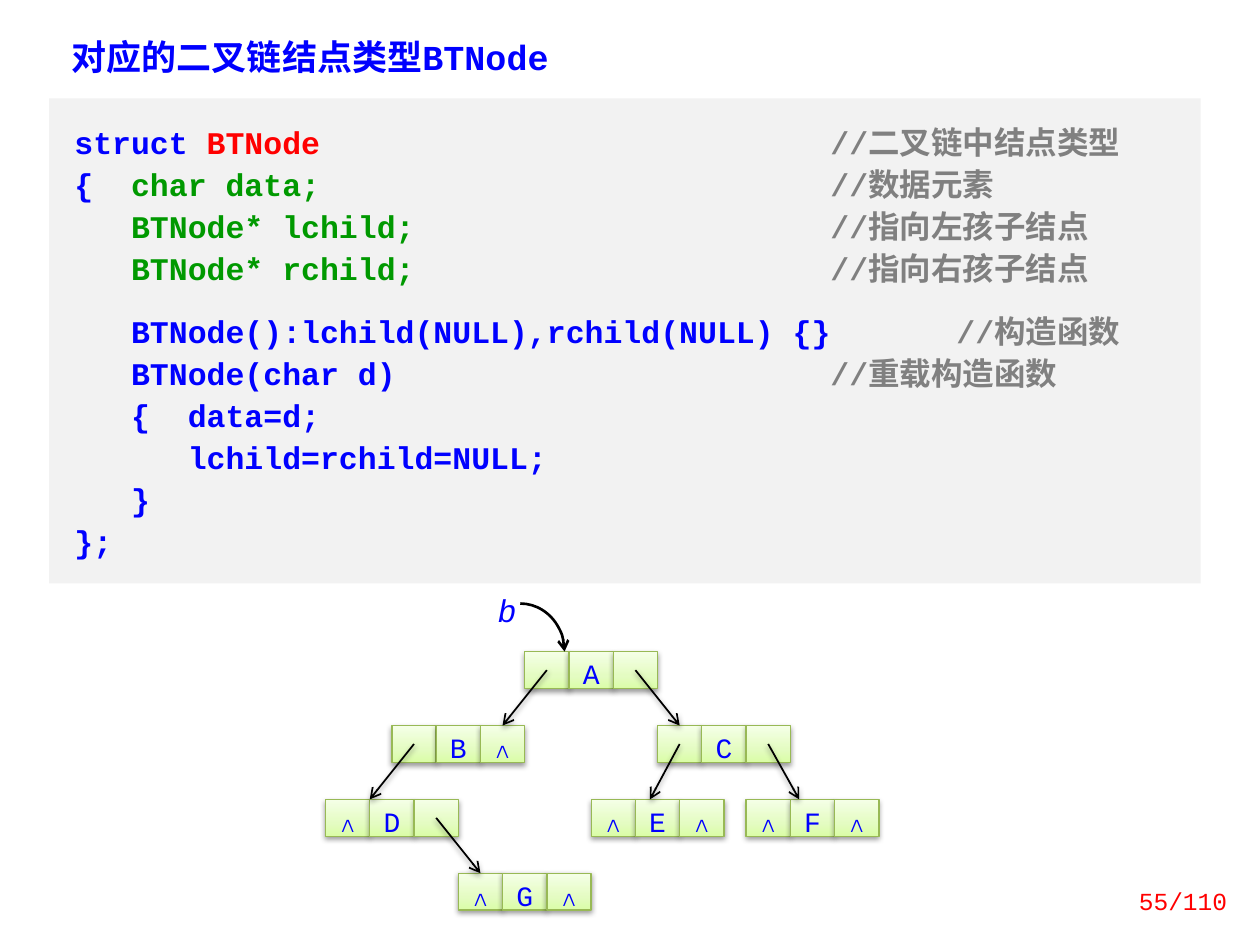
"""Build the slide on the binary linked node type BTNode and its tree."""

from dataclasses import dataclass, field
from typing import Optional

from pptx import Presentation
from pptx.dml.color import RGBColor
from pptx.enum.shapes import MSO_CONNECTOR, MSO_SHAPE
from pptx.enum.text import MSO_ANCHOR, MSO_AUTO_SIZE, PP_ALIGN
from pptx.oxml import parse_xml
from pptx.oxml.ns import nsdecls, qn
from pptx.util import Pt

BLUE = RGBColor(0x00, 0x00, 0xFF)
RED = RGBColor(0xFF, 0x00, 0x00)
GREEN = RGBColor(0x00, 0x99, 0x00)
GRAY = RGBColor(0x80, 0x80, 0x80)
BLACK = RGBColor(0x00, 0x00, 0x00)
PANEL = RGBColor(0xF2, 0xF2, 0xF2)
CELL_LINE = RGBColor(0x98, 0xB9, 0x55)
CELL_STOPS = (
    (0, RGBColor(0xDA, 0xFD, 0xA7)),
    (35, RGBColor(0xE4, 0xFC, 0xC2)),
    (100, RGBColor(0xF5, 0xFF, 0xE7)),
)

FONT = "Courier New"
CELL_W, CELL_H, ROW_GAP = 25.3, 21.1, 42.2
TREE_LEFT, TREE_TOP = 186, 372.4


@dataclass
class CodeLine:
    code: list
    comment: str = ""
    tab: float = 432
    before: float = 0


@dataclass
class Node:
    name: str
    col: float
    row: int
    left: str = ""
    right: str = ""
    cells: list = field(default_factory=list)

    @property
    def x(self) -> float:
        return TREE_LEFT + self.col * CELL_W

    @property
    def y(self) -> float:
        return TREE_TOP + self.row * ROW_GAP


@dataclass
class Link:
    parent: str
    cell: int
    child: str
    offset: float


CODE = [
    CodeLine([("struct ", BLUE), ("BTNode", RED)], "//二叉链中结点类型"),
    CodeLine([("{  ", BLUE), ("char data;", GREEN)], "//数据元素"),
    CodeLine([("   BTNode* lchild;", GREEN)], "//指向左孩子结点"),
    CodeLine([("   BTNode* rchild;", GREEN)], "//指向右孩子结点"),
    CodeLine([("   BTNode():lchild(NULL),rchild(NULL) {}", BLUE)], "//构造函数",
             tab=504, before=12),
    CodeLine([("   BTNode(char d)", BLUE)], "//重载构造函数"),
    CodeLine([("   {  data=d;", BLUE)]),
    CodeLine([("      lchild=rchild=NULL;", BLUE)]),
    CodeLine([("   }", BLUE)]),
    CodeLine([("};", BLUE)]),
]
NODES = [
    Node("A", 4.5, 0),
    Node("B", 1.5, 1, right="∧"),
    Node("C", 7.5, 1),
    Node("D", 0, 2, left="∧"),
    Node("E", 6, 2, "∧", "∧"),
    Node("F", 9.5, 2, "∧", "∧"),
    Node("G", 3, 3, "∧", "∧"),
]
LINKS = [
    Link("A", 0, "B", 2.5),
    Link("A", 2, "C", 0.5),
    Link("B", 0, "D", 1),
    Link("D", 2, "G", 0.5),
    Link("C", 0, "E", 1.33),
    Link("C", 2, "F", 1.2),
]


def write(p, text: str, *, size: float, color: RGBColor = BLUE, bold: bool = False,
          italic: bool = False, align: Optional[PP_ALIGN] = None) -> None:
    if align is not None:
        p.alignment = align
    r = p.add_run()
    r.text = text
    r.font.name, r.font.size = FONT, Pt(size)
    r.font.bold, r.font.italic = bold, italic
    r.font.color.rgb = color


def set_frame(sp, insets: tuple = (7.2, 3.6, 7.2, 3.6), anchor=MSO_ANCHOR.TOP):
    tf = sp.text_frame
    tf.word_wrap, tf.auto_size = True, MSO_AUTO_SIZE.NONE
    tf.vertical_anchor = anchor
    tf.margin_left, tf.margin_top, tf.margin_right, tf.margin_bottom = map(Pt, insets)
    return tf


def add_shadow(sp) -> None:
    sp._element.spPr.append(parse_xml(
        f'<a:effectLst {nsdecls("a")}><a:outerShdw blurRad="{Pt(3.1)}" dist="{Pt(1.6)}" '
        'dir="5400000" rotWithShape="0"><a:srgbClr val="000000"><a:alpha val="38000"/>'
        '</a:srgbClr></a:outerShdw></a:effectLst>'))


def add_arrow_line(sp, width: float) -> None:
    sp.line.color.rgb, sp.line.width = BLACK, Pt(width)
    sp._element.spPr.find(qn("a:ln")).append(
        parse_xml(f'<a:tailEnd {nsdecls("a")} type="arrow"/>'))


def add_label(s, box: tuple, text: str, insets: tuple, anchor, **fmt) -> None:
    tf = set_frame(s.shapes.add_textbox(*map(Pt, box)), insets, anchor)
    write(tf.paragraphs[0], text, **fmt)


def add_code(s) -> None:
    sp = s.shapes.add_shape(MSO_SHAPE.RECTANGLE, Pt(28.1), Pt(56.2), Pt(658), Pt(277.2))
    sp.shadow.inherit = False
    sp.fill.solid()
    sp.fill.fore_color.rgb = PANEL
    sp.line.fill.background()
    tf = set_frame(sp, (14.4, 11.5, 7.2, 11.5))
    for i, line in enumerate(CODE):
        p = tf.add_paragraph() if i else tf.paragraphs[0]
        pieces = list(line.code)
        if line.comment:
            p._p.get_or_add_pPr().append(parse_xml(
                f'<a:tabLst {nsdecls("a")}><a:tab pos="{Pt(line.tab)}" algn="l"/></a:tabLst>'))
            pieces.append(("\t" + line.comment, GRAY))
        p.line_spacing = Pt(24)
        if line.before:
            p.space_before = Pt(line.before)
        for text, color in pieces:
            write(p, text, size=18, color=color, bold=True, align=PP_ALIGN.LEFT)


def add_node(s, node: Node) -> None:
    stops = "".join(f'<a:gs pos="{pos * 1000}"><a:srgbClr val="{color}"/></a:gs>'
                    for pos, color in CELL_STOPS)
    for i, text in enumerate((node.left, node.name, node.right)):
        sp = s.shapes.add_shape(MSO_SHAPE.RECTANGLE, Pt(node.x + i * CELL_W), Pt(node.y),
                                Pt(CELL_W), Pt(CELL_H))
        sp._element.spPr.insert(2, parse_xml(
            f'<a:gradFill {nsdecls("a")} rotWithShape="1"><a:gsLst>{stops}</a:gsLst>'
            '<a:lin ang="16200000" scaled="0"/></a:gradFill>'))
        sp.line.color.rgb, sp.line.width = CELL_LINE, Pt(0.75)
        add_shadow(sp)
        if text:
            p = set_frame(sp, (0, 2.2, 0, 0)).paragraphs[0]
            p.line_spacing = Pt(20)
            write(p, text, size=16, align=PP_ALIGN.CENTER)
        node.cells.append(sp)


def add_link(s, link: Link, nodes: dict) -> None:
    parent, child = nodes[link.parent], nodes[link.child]
    cxn = s.shapes.add_connector(
        MSO_CONNECTOR.STRAIGHT,
        Pt(parent.x + (link.cell + 0.5) * CELL_W), Pt(parent.y + CELL_H / 2),
        Pt(child.x + link.offset * CELL_W), Pt(child.y))
    if link.offset % 1 == 0.5:
        cxn.end_connect(child.cells[int(link.offset)], 0)
    add_arrow_line(cxn, 1)
    add_shadow(cxn)


def main() -> None:
    prs = Presentation()
    prs.slide_width, prs.slide_height = Pt(720), Pt(540)
    s = prs.slides.add_slide(prs.slide_layouts[5])

    title = s.shapes.title
    title.left, title.top, title.width, title.height = map(Pt, (33.8, 16.6, 534, 31.7))
    write(set_frame(title).paragraphs[0], "对应的二叉链结点类型BTNode",
          size=20, bold=True, align=PP_ALIGN.LEFT)

    add_code(s)
    for node in NODES:
        add_node(s, node)
    nodes = {node.name: node for node in NODES}
    for link in LINKS:
        add_link(s, link, nodes)

    add_label(s, (280, 337.7, 19.4, 21.6), "b", (0, 0, 0, 0), MSO_ANCHOR.TOP,
              size=18, italic=True, align=PP_ALIGN.CENTER)
    arc = s.shapes.add_shape(MSO_SHAPE.ARC, Pt(272), Pt(344.9), Pt(50.6), Pt(55))
    arc.shadow.inherit = False
    arc.fill.background()
    add_arrow_line(arc, 1.5)
    add_label(s, (626.4, 500.4, 82, 28.8), "55/110", (7.2, 3.6, 7.2, 3.6), MSO_ANCHOR.MIDDLE,
              size=14, color=RED, align=PP_ALIGN.RIGHT)
    prs.save("out.pptx")


if __name__ == "__main__":
    main()
